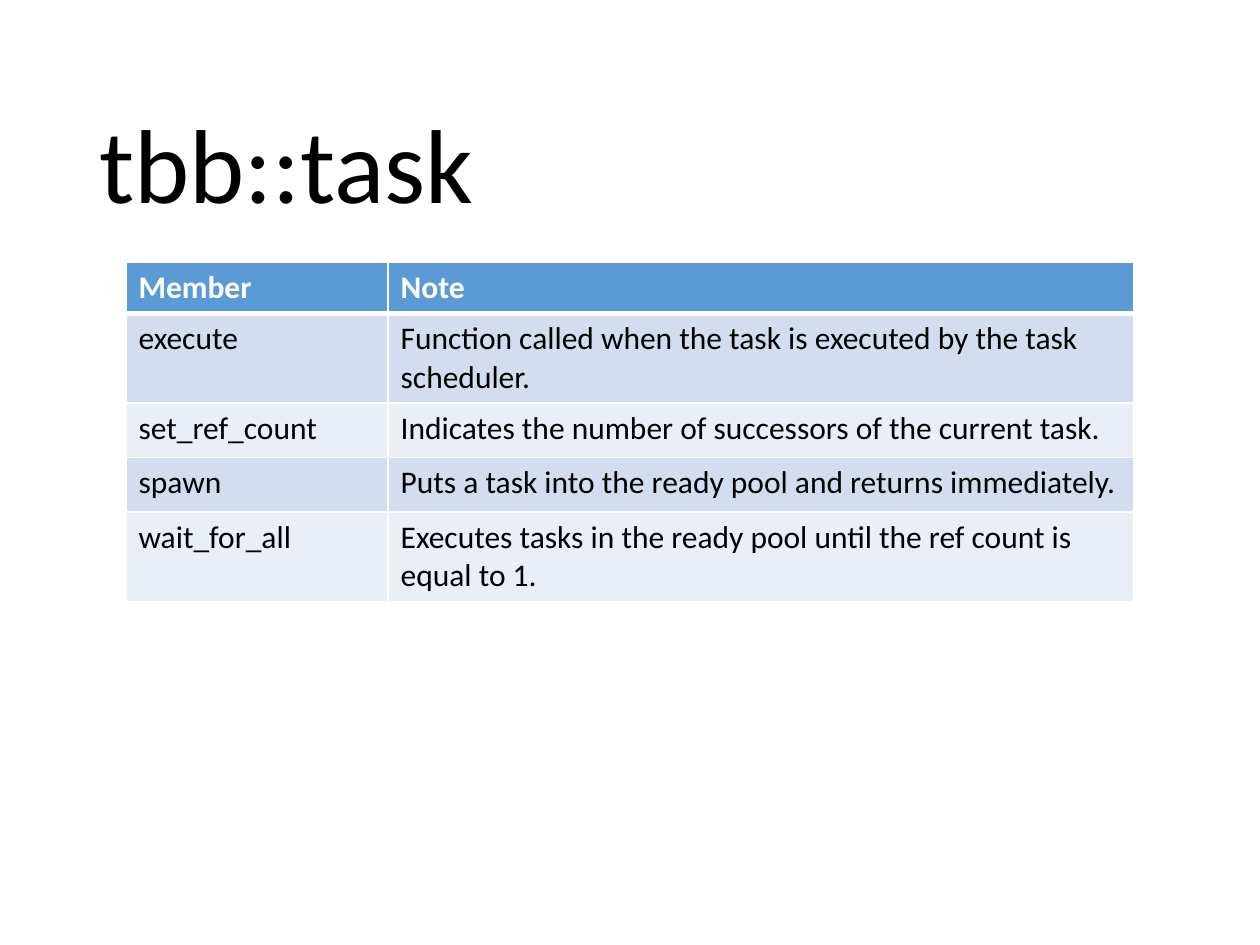
from lxml import etree
from pptx import Presentation
from pptx.dml.color import RGBColor
from pptx.enum.text import MSO_ANCHOR
from pptx.oxml.ns import qn
from pptx.util import Cm, Pt

BOTTOM = MSO_ANCHOR.BOTTOM
FONT = "Calibri"
BLACK, WHITE = "000000", "FFFFFF"
HEADER_FILL = "5B9BD5"
BAND_FILLS = ("D2DEEF", "EAEFF7")
THIN, THICK = 1, 3

MEMBERS = [
    ("Member", "Note"),
    ("execute", "Function called when the task is executed by the task scheduler."),
    ("set_ref_count", "Indicates the number of successors of the current task."),
    ("spawn", "Puts a task into the ready pool and returns immediately."),
    ("wait_for_all", "Executes tasks in the ready pool until the ref count is equal to 1."),
]


def color(hex_value):
    return RGBColor.from_string(hex_value)


def style_text(paragraph, size, hex_value, bold=False):
    for run in paragraph.runs:
        run.font.name = FONT
        run.font.size = Pt(size)
        run.font.bold = bold
        run.font.color.rgb = color(hex_value)


def set_borders(cell, top, bottom):
    """Draw white cell borders; top and bottom are widths in points."""
    properties = cell._tc.get_or_add_tcPr()
    widths = {"a:lnL": THIN, "a:lnR": THIN, "a:lnT": top, "a:lnB": bottom}
    for position, (side, width) in enumerate(widths.items()):
        line = etree.Element(qn(side), w=str(Pt(width)))
        fill = etree.SubElement(line, qn("a:solidFill"))
        etree.SubElement(fill, qn("a:srgbClr"), val=WHITE)
        properties.insert(position, line)


def add_title(slide, left, top, width, height):
    title = slide.shapes.add_textbox(left, top, width, height)
    frame = title.text_frame
    frame.word_wrap = True
    frame.vertical_anchor = BOTTOM
    frame.text = "tbb::task"
    frame.paragraphs[0].line_spacing = 0.9
    style_text(frame.paragraphs[0], 60, BLACK)


def add_member_table(slide, left, top, width, header_height, row_height):
    height = header_height + row_height * (len(MEMBERS) - 1)
    table = slide.shapes.add_table(len(MEMBERS), 2, left, top, width, height).table
    name_width = int(width * 0.26)
    table.columns[0].width = name_width
    table.columns[1].width = width - name_width

    for row_index, texts in enumerate(MEMBERS):
        is_header = row_index == 0
        table.rows[row_index].height = header_height if is_header else row_height
        for column_index, text in enumerate(texts):
            cell = table.cell(row_index, column_index)
            cell.text_frame.text = text
            style_text(cell.text_frame.paragraphs[0], 18,
                       WHITE if is_header else BLACK, bold=is_header)
            cell.fill.solid()
            cell.fill.fore_color.rgb = color(
                HEADER_FILL if is_header else BAND_FILLS[(row_index - 1) % 2])
            set_borders(cell, top=THICK if row_index == 1 else THIN,
                        bottom=THICK if is_header else THIN)


def main():
    presentation = Presentation()
    presentation.slide_width = Cm(25.4)
    presentation.slide_height = Cm(19.05)
    slide = presentation.slides.add_slide(presentation.slide_layouts[6])
    add_member_table(slide, Cm(2.54), Cm(5.29), Cm(20.32), Cm(0.97), Cm(1.1))
    add_title(slide, Cm(1.75), Cm(1.01), Cm(21.9), Cm(3.68))
    presentation.save("out.pptx")


if __name__ == "__main__":
    main()
